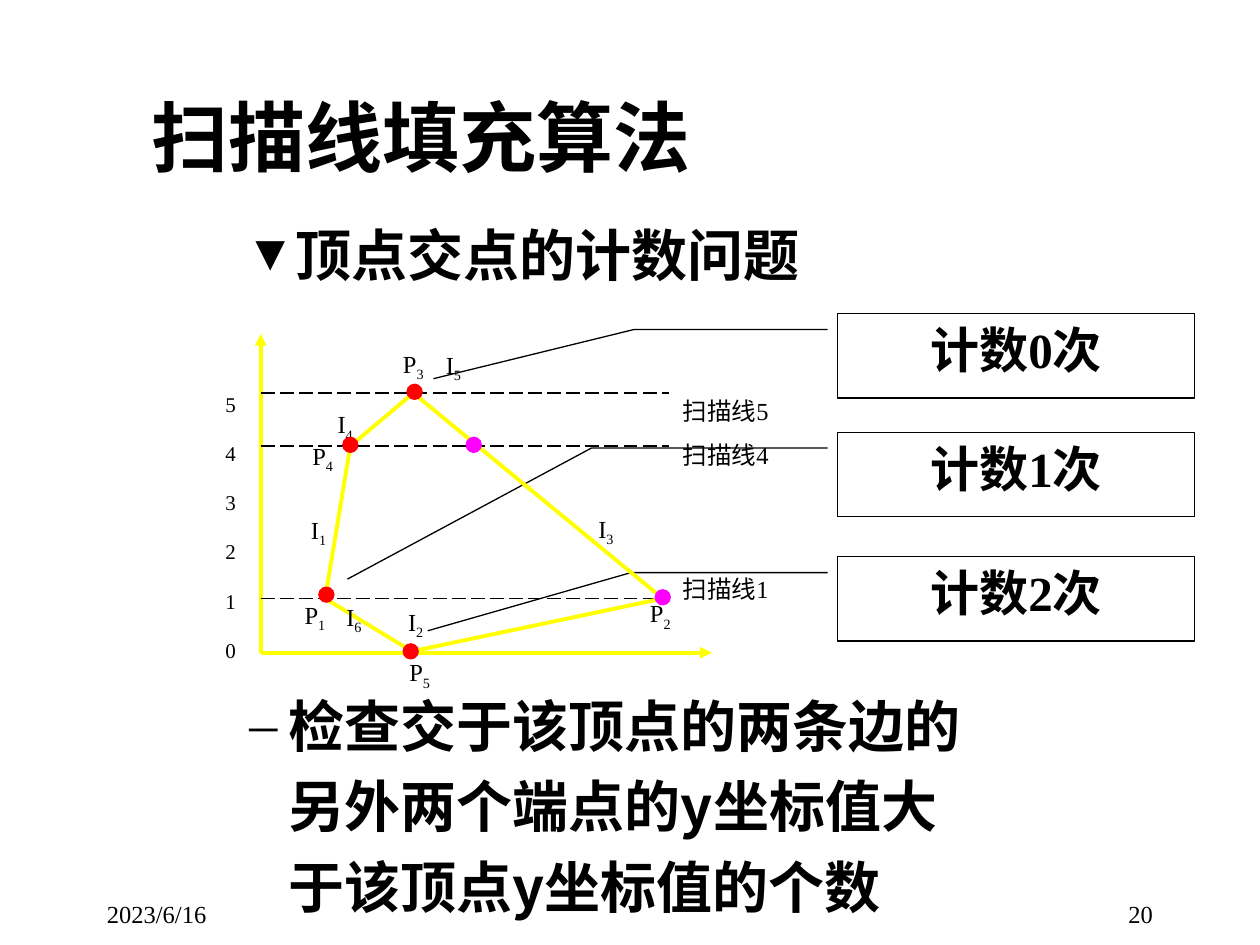
from dataclasses import dataclass

from lxml.etree import SubElement
from pptx import Presentation
from pptx.dml.color import RGBColor
from pptx.enum.dml import MSO_LINE
from pptx.enum.lang import MSO_LANGUAGE_ID
from pptx.enum.shapes import MSO_CONNECTOR, MSO_SHAPE
from pptx.enum.text import MSO_ANCHOR, PP_ALIGN
from pptx.oxml.ns import qn
from pptx.util import Pt

COLORS = {"text": "000000", "edge": "FFFF00", "vertex": "FF0000", "crossing": "FF00FF"}
SERIF, SANS = "Times New Roman", "Noto Sans CJK SC"


@dataclass
class Label:
    letter: str
    index: str
    x: float
    y: float
    w: float
    h: float


@dataclass
class Callout:
    text: str
    y: float
    bend_x: float
    tip_y: float
    tip_x: float


def rgb(name: str) -> RGBColor:
    return RGBColor.from_string(COLORS[name])


def add_run(p, text: str, size=14, bold=False, font=SERIF, baseline=None):
    r = p.add_run()
    r.text = text
    f = r.font
    f.size, f.bold, f.name = Pt(size), bold, font
    f.color.rgb = rgb("text")
    f.language_id = MSO_LANGUAGE_ID.SIMPLIFIED_CHINESE
    if baseline:
        f._element.set("baseline", str(baseline))
    return r


def add_text(s, box, lines, align=PP_ALIGN.LEFT, anchor=MSO_ANCHOR.TOP,
             spacing=None, wrap=True, **fmt):
    tf = s.shapes.add_textbox(*map(Pt, box)).text_frame
    tf.word_wrap, tf.vertical_anchor = wrap, anchor
    for i, line in enumerate(lines):
        p = tf.add_paragraph() if i else tf.paragraphs[0]
        p.alignment, p.line_spacing = align, spacing
        add_run(p, line, **fmt)
    return tf


def set_bullet(p, char: str, margin: float, hanging: float, percent=100):
    pPr = p._p.get_or_add_pPr()
    pPr.set("marL", str(Pt(margin)))
    pPr.set("indent", str(-Pt(hanging)))
    before = SubElement(pPr, qn("a:spcBef"))
    SubElement(before, qn("a:spcPct")).set("val", "20000")
    SubElement(pPr, qn("a:buSzPct")).set("val", str(percent * 1000))
    SubElement(pPr, qn("a:buFont")).set("typeface", SERIF)
    SubElement(pPr, qn("a:buChar")).set("char", char)


def add_line(s, start, end, color="edge", width=2.25, dash=None, arrow=False):
    c = s.shapes.add_connector(MSO_CONNECTOR.STRAIGHT, *map(Pt, (*start, *end)))
    c.line.color.rgb, c.line.width = rgb(color), Pt(width)
    if dash:
        c.line.dash_style = dash
    if arrow:
        SubElement(c.line._get_or_add_ln(), qn("a:tailEnd")).set("type", "triangle")
    SubElement(c._element.spPr, qn("a:effectLst"))


def add_dot(s, center, color: str, d=8.6):
    x, y = center
    sp = s.shapes.add_shape(MSO_SHAPE.FLOWCHART_CONNECTOR,
                            *map(Pt, (x - d / 2, y - d / 2, d, d)))
    sp.shadow.inherit = False
    sp.fill.solid()
    sp.fill.fore_color.rgb = sp.line.color.rgb = rgb(color)
    sp.line.width = Pt(0.75)


def add_callout(s, c: Callout):
    sp = s.shapes.add_shape(MSO_SHAPE.LINE_CALLOUT_2, *map(Pt, (478.8, c.y, 203.8, 48.2)))
    sp.shadow.inherit = False
    sp.fill.background()
    sp.line.color.rgb, sp.line.width = rgb("text"), Pt(0.75)
    for i, v in enumerate((0.188, -0.029, 0.188, c.bend_x, c.tip_y, c.tip_x)):
        sp.adjustments[i] = v
    tf = sp.text_frame
    tf.vertical_anchor = MSO_ANCHOR.TOP
    p = tf.paragraphs[0]
    p.alignment = PP_ALIGN.CENTER
    add_run(p, c.text, size=28, bold=True)


def add_label(s, l: Label):
    tf = add_text(s, (l.x, l.y, l.w, l.h), [l.letter], align=PP_ALIGN.JUSTIFY)
    add_run(tf.paragraphs[0], l.index, baseline=-25000)


CALLOUTS = [
    Callout("计数0次", 179.3, -0.572, 0.771, -1.134),
    Callout("计数1次", 247, -0.691, 1.742, -1.375),
    Callout("计数2次", 318.2, -0.58, 0.878, -1.15),
]
LABELS = [
    Label("P", "1", 167, 339.1, 40.3, 31.7),
    Label("P", "2", 364.3, 338.4, 32.4, 33.1),
    Label("P", "3", 223.2, 195.8, 38.2, 49),
    Label("P", "4", 171.4, 248.4, 33.1, 31.7),
    Label("P", "5", 226.8, 372.2, 31, 33.8),
    Label("I", "1", 170.6, 290.9, 29.5, 31.7),
    Label("I", "2", 226.1, 343.4, 30.2, 34.6),
    Label("I", "3", 334.8, 290.2, 29.5, 29.5),
    Label("I", "4", 185.8, 230.4, 31, 31.7),
    Label("I", "5", 247.7, 196.6, 31, 31.7),
    Label("I", "6", 190.8, 340.6, 31, 31.7),
]
ORIGIN = (149, 373)
SCAN_YS = (342, 254.9, 224.6)
POLYGON = [(185.8, 342), (200.2, 254.9), (236.2, 224.6), (378.7, 342), (235.4, 372.2)]
DOTS = {
    "vertex": [(236.9, 223.9), (200.2, 254.2), (234.7, 372.2), (186.5, 339.8)],
    "crossing": [(378.7, 341.3), (270.7, 254.2)],
}


def main():
    prs = Presentation()
    prs.slide_width, prs.slide_height = Pt(720), Pt(540)
    s = prs.slides.add_slide(prs.slide_layouts[5])

    # Title, date and page number
    title = s.shapes.title
    title.left, title.top, title.width, title.height = map(Pt, (79.2, 20.9, 558, 113.8))
    title.text_frame.vertical_anchor = MSO_ANCHOR.MIDDLE
    p = title.text_frame.paragraphs[0]
    p.alignment = PP_ALIGN.LEFT
    add_run(p, "扫描线填充算法", size=44, bold=True)
    add_text(s, (54, 504, 150, 36), ["2023/6/16"], anchor=MSO_ANCHOR.MIDDLE)
    add_text(s, (516, 504, 150, 36), ["20"], align=PP_ALIGN.RIGHT,
             anchor=MSO_ANCHOR.MIDDLE, wrap=False)

    # Heading
    tf = add_text(s, (133.2, 122.4, 347.8, 57.6), ["顶点交点的计数问题"], size=32, bold=True)
    set_bullet(tf.paragraphs[0], "▼", 27, 27, percent=90)

    # Count callouts
    for c in CALLOUTS:
        add_callout(s, c)

    # Axes and scan lines
    add_line(s, ORIGIN, (149, 190.8), arrow=True)
    add_line(s, ORIGIN, (406.8, 373), arrow=True)
    add_text(s, (121.7, 206.6, 35.3, 176.4), list("543210"), align=PP_ALIGN.JUSTIFY,
             spacing=1.95, size=12)
    for y in SCAN_YS:
        add_line(s, (149, y), (382.3, y), "text", 1, MSO_LINE.LONG_DASH)

    # Polygon with its labels
    for start, end in zip(POLYGON, POLYGON[1:] + POLYGON[:1]):
        add_line(s, start, end)
    for l in LABELS:
        add_label(s, l)
    tf = add_text(s, (383, 213.8, 68.4, 149.8), ["扫描线5", "扫描线4", "扫描线1"],
                  align=PP_ALIGN.JUSTIFY, spacing=1.52)
    tf.paragraphs[2].space_before = Pt(51)

    # Vertices and crossings
    for color, centers in DOTS.items():
        for center in centers:
            add_dot(s, center, color)

    # Rule for counting
    tf = add_text(s, (99.4, 383.8, 465.1, 136.1),
                  ["检查交于该顶点的两条边的另外两个端点的y坐标值大于该顶点y坐标值的个数"],
                  spacing=1.2, size=32, bold=True, font=SANS)
    set_bullet(tf.paragraphs[0], "–", 58.3, 22.3)

    prs.save("out.pptx")


if __name__ == "__main__":
    main()
